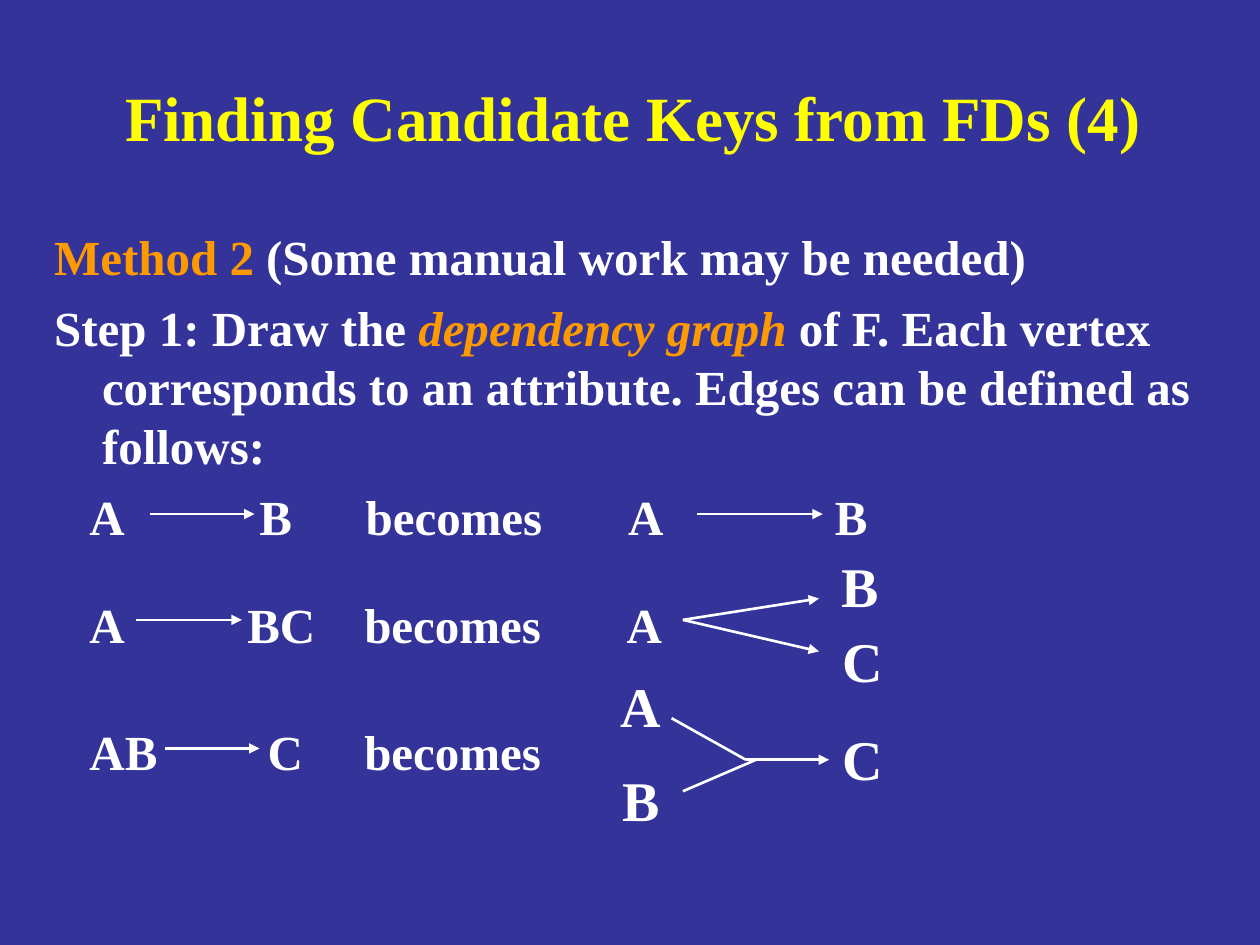
"""Build a slide on drawing a dependency graph from functional dependencies."""
from lxml import etree
from pptx import Presentation, util as u
from pptx.dml import color as col
from pptx.enum import shapes, text
from pptx.oxml import ns

WHITE, GOLD, YELLOW = "FFFFFF", "FF9900", "FFFF00"


def paint(item, tone):
    """Give a font or fill a solid colour."""
    if hasattr(item, "solid"):
        item.solid()
        item.fore_color.rgb = col.RGBColor.from_string(tone)
    else:
        item.color.rgb = col.RGBColor.from_string(tone)


def write(para, words, size, tone=WHITE, **extra):
    """Add one formatted run to a paragraph and return it."""
    run = para.add_run()
    run.text = words
    form = {"name": "Times New Roman", "size": u.Pt(size), "bold": True, **extra}
    for key, val in form.items():
        setattr(run.font, key, val)
    paint(run.font, tone)
    return run


deck = Presentation()
deck.slide_width, deck.slide_height = u.Inches(10), u.Inches(7.5)
slide = deck.slides.add_slide(deck.slide_layouts[1])
paint(slide.background.fill, "333399")

title, body = slide.placeholders
for holder, box in ((title, (0.42, 0.42, 9.33, 1)), (body, (0.33, 1.75, 9.33, 5.5))):
    holder.left, holder.top, holder.width, holder.height = map(u.Inches, box)
    holder.text_frame.auto_size = text.MSO_AUTO_SIZE.NONE
title.text_frame.vertical_anchor = text.MSO_ANCHOR.MIDDLE
head = title.text_frame.paragraphs[0]
head.alignment = text.PP_ALIGN.CENTER
write(head, "Finding Candidate Keys from FDs (4) ", 36, YELLOW)

intro = [
    [("Method 2", GOLD, False), (" (Some manual work may be needed)", WHITE, False)],
    [("Step 1: Draw the ", WHITE, False), ("dependency graph", GOLD, True),
     (" of F. Each vertex corresponds to an attribute. "
      "Edges can be defined as follows:", WHITE, False)],
]
rules = [
    (7, ["A", "B", "becomes", "A", "B"], [70, 35, 42, 91]),
    (28, ["A", "BC", "becomes", "A"], [63, 21, 42]),
    (39, ["AB", "C", "becomes"], [56, 28]),
]
frame = body.text_frame
for num, parts in enumerate(intro):
    para = frame.add_paragraph() if num else frame.paragraphs[0]
    para.space_before = u.Pt(7)
    for words, tone, slant in parts:
        write(para, words, 28, tone, italic=slant)
for above, parts, gaps in rules:
    para = frame.add_paragraph()
    para.space_before = u.Pt(above)
    write(para, parts[0], 28)
    for gap, part in zip(gaps, parts[1:]):
        space = write(para, " ", 28)
        space.font._element.set("spc", str(gap * 100))
        write(para, part, 28)
for num, para in enumerate(frame.paragraphs):
    left, first = (0.38, -0.38) if num < len(intro) else (0.28, 0)
    props = para._p.get_or_add_pPr()
    props.set("marL", str(u.Inches(left)))
    props.set("indent", str(u.Inches(first)))
    etree.SubElement(props, ns.qn("a:buNone"))

nodes = [("B", 6.58, 4.33), ("C", 6.59, 4.92), ("A", 4.83, 5.28),
         ("B", 4.84, 6.03), ("C", 6.59, 5.7)]
for name, left, top in nodes:
    node = slide.shapes.add_textbox(*map(u.Inches, (left, top, 0.52, 0.64)))
    node.text_frame.word_wrap = True
    write(node.text_frame.paragraphs[0], name, 32)

edges = [
    (1.19, 4.08, 2.02, 4.08, True), (5.53, 4.08, 6.53, 4.08, True),
    (1.08, 4.92, 1.92, 4.92, True), (5.42, 4.92, 6.5, 4.75, True),
    (5.42, 4.92, 6.5, 5.17, True), (5.92, 6.03, 6.58, 6.03, True),
    (5.42, 6.28, 6, 6.03, False), (5.33, 5.7, 5.92, 6.03, False),
    (1.31, 5.94, 2.06, 5.94, True),
]
for *ends, arrow in edges:
    edge = slide.shapes.add_connector(shapes.MSO_CONNECTOR.STRAIGHT, *map(u.Inches, ends))
    edge.line.width = u.Pt(1.5)
    paint(edge.line.fill, WHITE)
    if arrow:
        etree.SubElement(edge.line._get_or_add_ln(), ns.qn("a:tailEnd"), type="triangle")
    etree.SubElement(edge._element.spPr, ns.qn("a:effectLst"))

deck.save("out.pptx")
